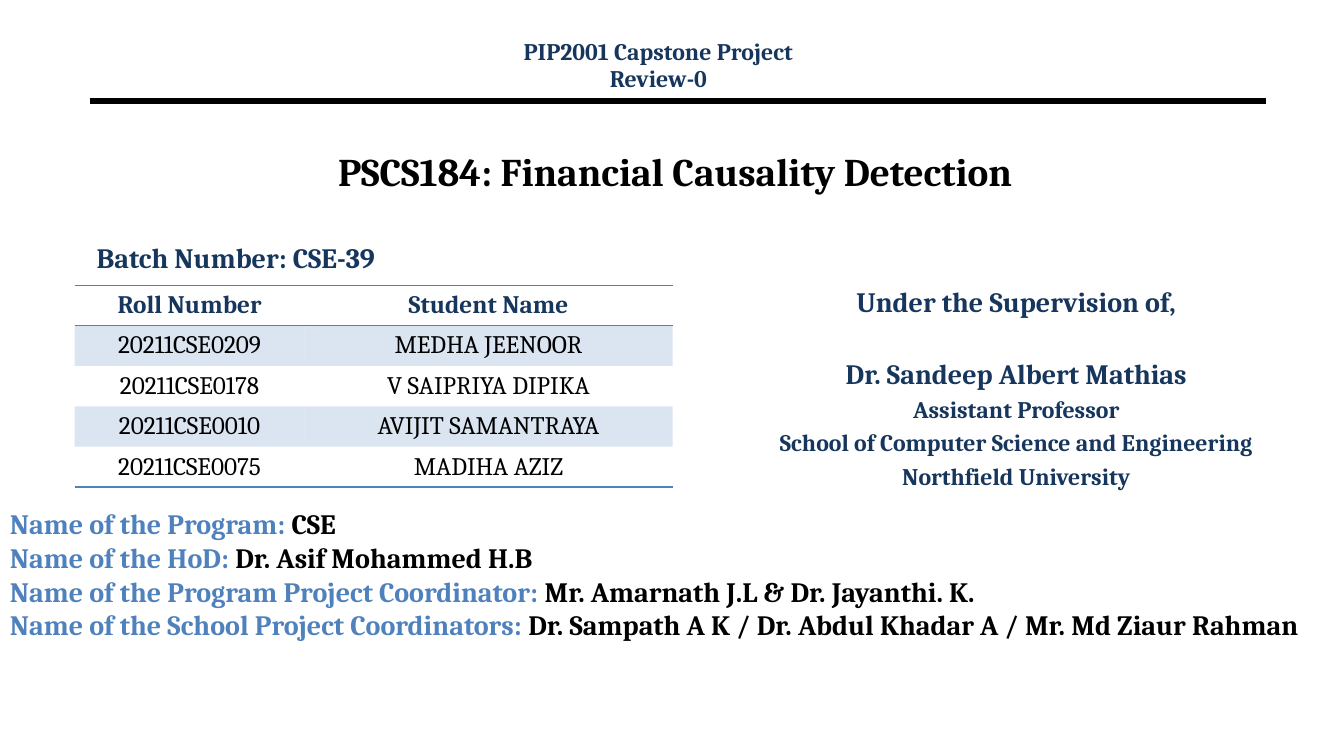
import pptx
import pptx.dml.color
import pptx.enum.shapes
import pptx.enum.text
import pptx.oxml
import pptx.oxml.ns
import pptx.util

PX = 9144  # EMU per px, 100 px to the inch
FONT = "Cambria"
NAVY, BLUE, BLACK = "17365D", "4F81BD", "000000"
ALIGN = pptx.enum.text.PP_ALIGN
ANCHOR = pptx.enum.text.MSO_ANCHOR
NO_STYLE = "{2D5ABB26-0587-4C30-8999-92F81FD0307C}"

STUDENTS = [
    ("Roll Number", "Student Name"),
    ("20211CSE0209", "MEDHA JEENOOR"),
    ("20211CSE0178", "V SAIPRIYA DIPIKA"),
    ("20211CSE0010", "AVIJIT SAMANTRAYA"),
    ("20211CSE0075", "MADIHA AZIZ"),
]
SUPERVISION = [
    ("Under the Supervision of,", 20, 1, 0),
    ("Dr. Sandeep Albert Mathias", 20, 2, 3.4),
    ("Assistant Professor", 17, 1, 3.4),
    ("School of Computer Science and Engineering", 17, 1, 3.4),
    ("Northfield University", 17, 1, 3.4),
]
STAFF = [
    ("Name of the Program: ", "CSE"),
    ("Name of the HoD: ", "Dr. Asif Mohammed H.B"),
    ("Name of the Program Project Coordinator: ", "Mr. Amarnath J.L & Dr. Jayanthi. K."),
    ("Name of the School Project Coordinators: ",
     "Dr. Sampath A K / Dr. Abdul Khadar A / Mr. Md Ziaur Rahman"),
]


def emu(*lengths):
    return [length * PX for length in lengths]


def color(value):
    return pptx.dml.color.RGBColor.from_string(value)


def add_xml(parent, tag, body="", attributes=""):
    namespace = pptx.oxml.ns.nsdecls("a")
    parent.append(pptx.oxml.parse_xml(f"<a:{tag} {namespace} {attributes}>{body}</a:{tag}>"))


def add_run(paragraph, text, size, fill, bold=True):
    run = paragraph.add_run()
    run.text = text
    run.font.name = FONT
    run.font.size = pptx.util.Pt(size)
    run.font.bold = bold
    run.font.color.rgb = color(fill)


def add_text(slide, box, lines, align):
    """Add a text box; each line is (runs, line spacing, points before)."""
    frame = slide.shapes.add_textbox(*emu(*box)).text_frame
    frame.word_wrap = True
    for index, (runs, spacing, before) in enumerate(lines):
        paragraph = frame.add_paragraph() if index else frame.paragraphs[0]
        paragraph.alignment = align
        paragraph.line_spacing = float(spacing)
        paragraph.space_before = pptx.util.Pt(before)
        for run in runs:
            add_run(paragraph, *run)


def add_header(slide, box):
    """Place the course lines with the full-width rule beneath them."""
    left, top, width, height = box
    lines = [([("PIP2001 Capstone Project", 17, NAVY)], 0.8, 0),
             ([("Review-0", 17, NAVY)], 0.8, 3.1)]
    add_text(slide, (left + 347, top, 434, 60), lines, ALIGN.CENTER)
    rule = slide.shapes.add_connector(
        pptx.enum.shapes.MSO_CONNECTOR.STRAIGHT,
        *emu(left, top + height, left + width, top + height))
    rule.line.color.rgb = color(BLACK)
    rule.line.width = pptx.util.Pt(4.5)
    add_xml(rule._element.spPr, "effectLst")


def set_title(slide, box, text):
    title = slide.shapes.title
    title.left, title.top, title.width, title.height = emu(*box)
    frame = title.text_frame
    frame.auto_size = pptx.enum.text.MSO_AUTO_SIZE.NONE
    frame.vertical_anchor = ANCHOR.MIDDLE
    frame.paragraphs[0].alignment = ALIGN.CENTER
    add_run(frame.paragraphs[0], text, 28, BLACK)


def add_border(cell, side):
    add_xml(cell._tc.get_or_add_tcPr(), side,
            f'<a:solidFill><a:srgbClr val="{BLUE}"/></a:solidFill>', 'w="12700"')


def fill_band(cell):
    cell.fill.solid()
    cell.fill.fore_color.rgb = color(BLUE)
    band = next(cell._tc.tcPr.iter(pptx.oxml.ns.qn("a:srgbClr")))
    if cell._tc.tcPr[-1] is not band.getparent():
        band = cell._tc.tcPr[-1][0]
    add_xml(band, "alpha", attributes='val="20000"')


def add_students(slide, box):
    """Place the batch heading and the banded student table below it."""
    left, top, width, height = box
    add_text(slide, (left + 12, top, 434, 60),
             [([("Batch Number: CSE-39", 20, NAVY)], 1, 0)], ALIGN.LEFT)
    table_top = top + 49
    frame = slide.shapes.add_table(
        len(STUDENTS), 2, *emu(left, table_top, width, height - 49))
    next(frame._element.iter(pptx.oxml.ns.qn("a:tableStyleId"))).text = NO_STYLE
    table = frame.table
    table.first_row = table.horz_banding = False
    table.columns[0].width, table.columns[1].width = emu(228, width - 228)
    for row, texts in enumerate(STUDENTS):
        header = row == 0
        for column, text in enumerate(texts):
            cell = table.cell(row, column)
            cell.vertical_anchor = ANCHOR.MIDDLE
            paragraph = cell.text_frame.paragraphs[0]
            paragraph.alignment = ALIGN.CENTER
            add_run(paragraph, text, 18, NAVY if header else BLACK, header)
            if header:
                add_border(cell, "lnT")
            if header or row == len(STUDENTS) - 1:
                add_border(cell, "lnB")
            if row % 2:
                fill_band(cell)
            else:
                cell.fill.background()


def add_supervision(slide, box):
    lines = [([(text, size, NAVY)], spacing, before)
             for text, size, spacing, before in SUPERVISION]
    add_text(slide, box, lines, ALIGN.CENTER)


def add_staff(slide, box):
    lines = [([(label, 20, BLUE), (name, 20, BLACK)], 1, 0) for label, name in STAFF]
    add_text(slide, box, lines, ALIGN.JUSTIFY)


def main():
    presentation = pptx.Presentation()
    presentation.slide_width, presentation.slide_height = emu(1333, 750)
    slide = presentation.slides.add_slide(presentation.slide_layouts.get_by_name("Title Only"))
    add_header(slide, (89, 37, 1167, 63))
    set_title(slide, (103, 117, 1133, 105), "PSCS184: Financial Causality Detection")
    add_students(slide, (74, 234, 593, 244))
    add_supervision(slide, (752, 277, 512, 221))
    add_staff(slide, (0, 498, 1340, 171))
    presentation.save("out.pptx")


if __name__ == "__main__":
    main()
